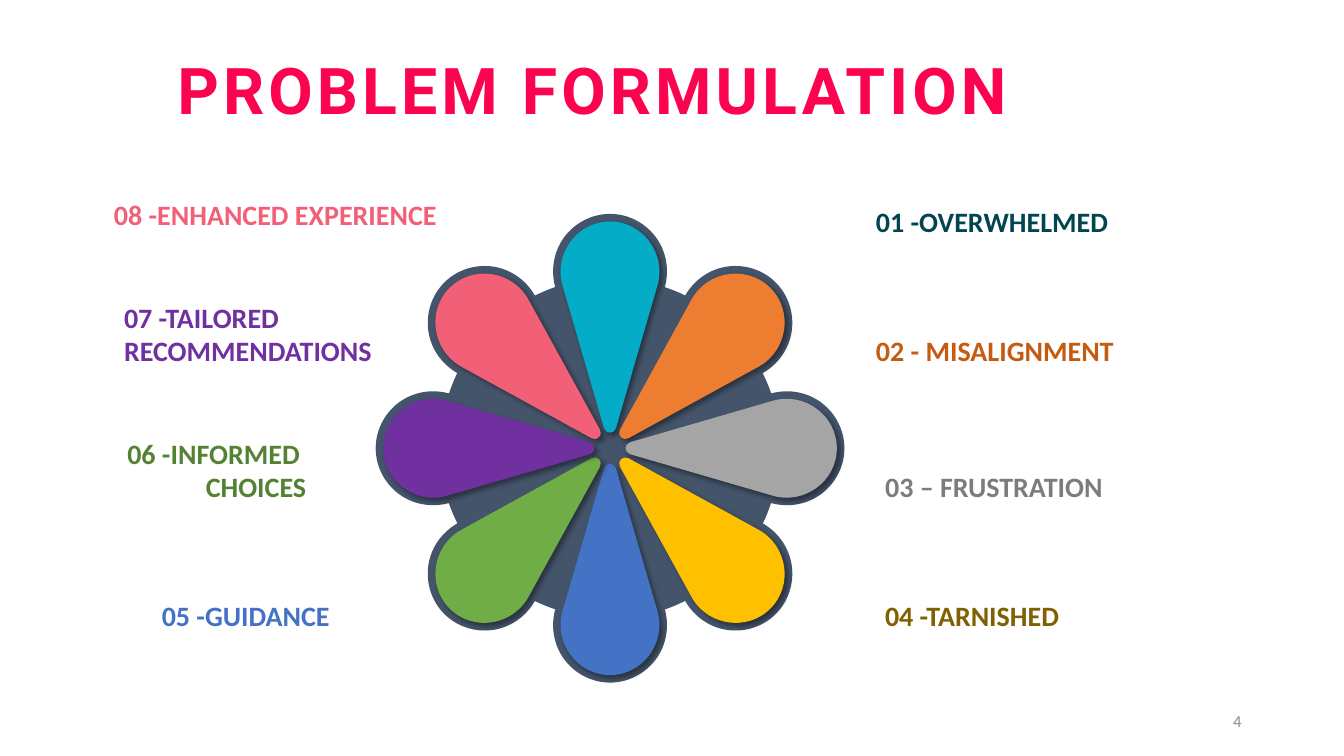
from dataclasses import dataclass
from math import cos, radians, sin

from lxml import etree
from pptx import Presentation
from pptx.dml.color import RGBColor
from pptx.enum.shapes import MSO_SHAPE
from pptx.enum.text import MSO_ANCHOR, MSO_AUTO_SIZE, PP_ALIGN
from pptx.oxml.ns import qn
from pptx.util import Pt

LEFT, RIGHT = PP_ALIGN.LEFT, PP_ALIGN.RIGHT
TOP, MIDDLE, BOTTOM = MSO_ANCHOR.TOP, MSO_ANCHOR.MIDDLE, MSO_ANCHOR.BOTTOM
FIT_SHAPE, NO_FIT = MSO_AUTO_SIZE.SHAPE_TO_FIT_TEXT, MSO_AUTO_SIZE.NONE
ROUNDED = MSO_SHAPE.ROUNDED_RECTANGLE


@dataclass(frozen=True)
class Theme:
    heading_font: str = "Roboto"
    body_font: str = "Calibri"
    title_size: float = 46
    label_size: float = 20
    number_size: float = 12
    title: str = "FC0350"
    plate: str = "FFFFFF"
    number: str = "8C8C8C"
    backing: str = "44546A"
    shadow: str = "000000"
    # Clockwise from the top
    petals: tuple = ("05ACC7", "ED7D31", "A5A5A5", "FFC000",
                     "4472C4", "70AD47", "7030A0", "F16077")
    # Labels 01 to 08
    labels: tuple = ("024550", "C55A11", "7C7C7C", "806000",
                     "4472C4", "548235", "7030A0", "F16077")


def set_all(target, values):
    for name, value in values.items():
        setattr(target, name, value)


def rotate(curves, degrees):
    c, s = cos(radians(degrees)), sin(radians(degrees))
    return [[(x * c - y * s, x * s + y * c) for x, y in curve] for curve in curves]


def mirror(curve):
    return [(-x, y) for x, y in reversed(curve)]


def bounds(curves, steps=32):
    """Left, top, right and bottom reached by cubic curves."""
    xs, ys = zip(*(
        [(1 - t)**3 * p + 3 * (1 - t)**2 * t * q + 3 * (1 - t) * t * t * r + t**3 * s
         for p, q, r, s in zip(*curve)]
        for curve in curves for t in (i / steps for i in range(steps + 1))))
    return min(xs), min(ys), max(xs), max(ys)


class SlideBuilder:
    def __init__(self, slide, theme):
        self.slide = slide
        self.theme = theme

    def paint(self, shape, color):
        shape.fill.solid()
        shape.fill.fore_color.rgb = RGBColor.from_string(color)
        shape.line.fill.background()
        shape.shadow.inherit = False

    def fill_text(self, shape, box, lines, font, size, color, bold=True,
                  align=LEFT, frame=None):
        set_all(shape, dict(zip(("left", "top", "width", "height"), map(Pt, box))))
        text = shape.text_frame
        text.text = "\n".join(lines)
        set_all(text, {"word_wrap": True, **(frame or {})})
        for paragraph in text.paragraphs:
            paragraph.alignment = align
            run_font = paragraph.runs[0].font
            set_all(run_font, {"name": font, "size": Pt(size), "bold": bold})
            run_font.color.rgb = RGBColor.from_string(color)

    def title(self, box, text):
        heading = self.slide.shapes.title
        self.fill_text(heading, box, [text], self.theme.heading_font,
                       self.theme.title_size, self.theme.title,
                       frame={"vertical_anchor": TOP, "auto_size": NO_FIT})
        run = heading.text_frame.paragraphs[0].runs[0]
        run.font._element.set("spc", "300")

    def plate(self, box, color):
        plate = self.slide.shapes.add_shape(ROUNDED, *map(Pt, box))
        self.paint(plate, color)
        # The plate lies behind the title
        self.slide.shapes.title._element.addprevious(plate._element)

    def text(self, box, lines, size, color, **options):
        shape = self.slide.shapes.add_textbox(*map(Pt, box))
        self.fill_text(shape, box, lines, self.theme.body_font, size, color, **options)

    def outline(self, center, curves, color, shadow=False):
        """Closed outline of cubic curves, joined by straight lines where they part."""
        left, top, right, bottom = bounds(curves)
        corners = [(Pt(center[0] + x), Pt(center[1] + y)) for x, y in
                   ((left, top), (right, top), (right, bottom), (left, bottom))]
        builder = self.slide.shapes.build_freeform(*corners[0])
        builder.add_line_segments(corners[1:], close=True)
        shape = builder.convert_to_shape()
        self.paint(shape, color)

        # Curves in place of the straight frame
        track = next(shape._element.iter(qn("a:path")))
        for step in list(track):
            track.remove(step)

        def draw(tag, points=()):
            step = etree.SubElement(track, qn(tag))
            for x, y in points:
                etree.SubElement(step, qn("a:pt"), x=str(Pt(x - left)), y=str(Pt(y - top)))

        draw("a:moveTo", curves[0][:1])
        pen = curves[0][0]
        for curve in curves:
            if max(abs(a - b) for a, b in zip(pen, curve[0])) > 0.01:
                draw("a:lnTo", curve[:1])
            draw("a:cubicBezTo", curve[1:])
            pen = curve[-1]
        draw("a:close")

        if shadow:
            effects = shape._element.spPr.find(qn("a:effectLst"))
            outer = etree.SubElement(
                effects, qn("a:outerShdw"), blurRad=str(Pt(4)), dist=str(Pt(3)),
                dir="2700000", algn="tl", rotWithShape="0")
            tint = etree.SubElement(outer, qn("a:srgbClr"), val=self.theme.shadow)
            etree.SubElement(tint, qn("a:alpha"), val="40000")


# Flower geometry, with the top petal drawn around the center
CENTER = (435.75, 320.2)
TURN = 45
PETAL_CAP = [(0, -162), (23.5, -162), (40.3, -139), (34, -116.6)]
PETAL_TIP = [(4.3, -14.4), (3, -10), (-3, -10), (-4.3, -14.4)]
PETAL = [PETAL_CAP, PETAL_TIP, mirror(PETAL_CAP)]
VALLEY = [(-53.5, -109.1), (-48.7, -111.5), (-44, -113.5), (-39, -115.2)]
LOBE_SIDE = [(-39.2, -115.2), (-42.6, -128), (-40, -141.2), (-32.4, -151.2)]
LOBE_TOP = [(-32.4, -151.2), (-24.5, -161.5), (-12.5, -167.4), (0, -167.4)]
LOBE = [VALLEY, LOBE_SIDE, LOBE_TOP, mirror(LOBE_TOP), mirror(LOBE_SIDE)]

# Left, top, width, height, alignment and lines of labels 01 to 08
LABELS = [
    (625.7, 142.2, 187, 31.5, LEFT, ["01 -OVERWHELMED"]),
    (625.7, 234, 187, 31.5, LEFT, ["02 - MISALIGNMENT"]),
    (632.2, 331.5, 187, 31.5, LEFT, ["03 – FRUSTRATION"]),
    (632.2, 423.4, 219, 31.5, LEFT, ["04 -TARNISHED"]),
    (48.6, 423.4, 187, 31.5, RIGHT, ["05 -GUIDANCE"]),
    (10.8, 307.7, 208, 55.5, RIGHT, ["06 -INFORMED ", "CHOICES"]),
    (88.6, 210.5, 234.7, 55.5, LEFT, ["07 -TAILORED RECOMMENDATIONS"]),
    (81.4, 136.8, 242, 31.5, LEFT, ["08 -ENHANCED EXPERIENCE"]),
]
LABEL_FRAME = {"vertical_anchor": BOTTOM, "auto_size": FIT_SHAPE,
               "margin_left": 0, "margin_right": 0}


def main():
    prs = Presentation()
    set_all(prs, {"slide_width": Pt(960), "slide_height": Pt(540)})
    theme = Theme()
    page = SlideBuilder(prs.slides.add_slide(prs.slide_layouts[5]), theme)

    # Title on its plate
    page.title((119.5, 32, 646, 63.4), "PROBLEM FORMULATION")
    page.plate((105, 28, 620.6, 64.8), theme.plate)

    # Flower backing
    backing = [curve for turn in range(0, 360, TURN) for curve in rotate(LOBE, turn)]
    page.outline(CENTER, backing, theme.backing)

    # Petals
    for index, color in enumerate(theme.petals):
        page.outline(CENTER, rotate(PETAL, index * TURN), color, shadow=True)

    # Problem labels
    for (*box, align, lines), color in zip(LABELS, theme.labels):
        page.text(box, lines, theme.label_size, color, align=align, frame=LABEL_FRAME)

    # Slide number
    page.text((678, 500.5, 216, 28.75), ["4"], theme.number_size, theme.number,
              bold=False, align=RIGHT, frame={"vertical_anchor": MIDDLE})

    prs.save("out.pptx")


if __name__ == "__main__":
    main()
